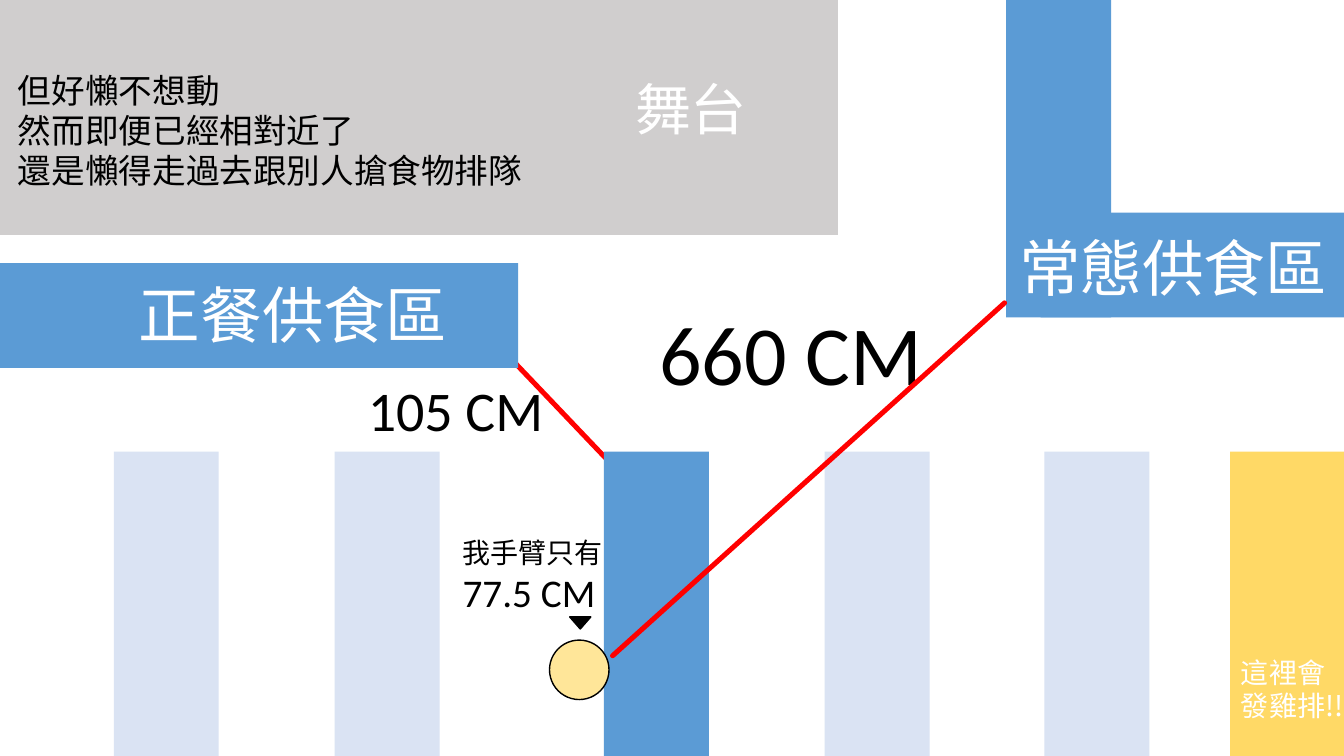
import pptx
import pptx.util
import pptx.dml.color
import pptx.enum.shapes
import pptx.enum.text
import pptx.oxml.ns
import lxml.etree

Inches = pptx.util.Inches
Kind = pptx.enum.shapes.MSO_SHAPE

HUES = {
    "red": "FF0000", "stage": "D0CECE", "blue": "5B9BD5", "pale": "DAE3F3",
    "gold": "FFD966", "skin": "FFE699", "black": "000000", "white": "FFFFFF",
}
HAN = "Noto Sans CJK SC"
LATIN = "Calibri"
WIDE, LONG = 1.04, 3.02   # width and length of every table
ROW = 4.48                # top of the lower row of tables


class Plan:
    def __init__(self, slide):
        self.slide = slide

    def hue(self, name):
        return pptx.dml.color.RGBColor.from_string(HUES[name])

    def shape(self, kind, left, top, width, height, fill, line=None, turn=0):
        item = self.slide.shapes.add_shape(
            kind, Inches(left), Inches(top), Inches(width), Inches(height))
        item.shadow.inherit = False
        item.rotation = turn
        item.fill.solid()
        item.fill.fore_color.rgb = self.hue(fill)
        if line:
            item.line.color.rgb = self.hue(line)
            item.line.width = pptx.util.Pt(1)
        else:
            item.line.fill.background()
        return item

    def block(self, left, top, width, height, fill):
        self.shape(Kind.RECTANGLE, left, top, width, height, fill)

    def ray(self, left, top, length, turn):
        """Draw a thin red bar with round ends, turned about its centre."""
        bar = self.shape(Kind.ROUNDED_RECTANGLE, left, top, length, 0.05, "red", turn=turn)
        bar.adjustments[0] = 0.5

    def text(self, left, top, width, height, lines, hue, font=HAN, wrap=False):
        """Write lines given as pairs of words and point size."""
        box = self.slide.shapes.add_textbox(
            Inches(left), Inches(top), Inches(width), Inches(height))
        frame = box.text_frame
        frame.word_wrap = wrap
        frame.auto_size = pptx.enum.text.MSO_AUTO_SIZE.SHAPE_TO_FIT_TEXT
        for i, (words, size) in enumerate(lines):
            para = frame.add_paragraph() if i else frame.paragraphs[0]
            run = para.add_run()
            run.text = words
            para.font.size = pptx.util.Pt(size)
            para.font.name = font
            para.font.color.rgb = self.hue(hue)
            east = lxml.etree.SubElement(
                run.font._element, pptx.oxml.ns.qn("a:ea"))
            east.set("typeface", HAN)


def main():
    deck = pptx.Presentation()
    deck.slide_width, deck.slide_height = Inches(13.33), Inches(7.5)
    plan = Plan(deck.slides.add_slide(deck.slide_layouts[6]))

    plan.ray(4.84, 4.04, 1.42, 46.4)
    plan.block(-0.46, -0.19, 8.77, 2.52, "stage")
    plan.text(0.08, 0.64, 5.25, 1.31, [
        ("但好懶不想動", 24),
        ("然而即便已經相對近了", 24),
        ("還是懶得走過去跟別人搶食物排隊", 24),
    ], "black")

    plan.block(5.99, ROW, WIDE, LONG, "blue")
    plan.block(9.98, -0.1, WIDE, 3.25, "blue")
    for left, top in ((10.32, 2.11), (2.12, 2.61), (-0.32, 2.61)):
        plan.block(left, top, LONG, WIDE, "blue")
    for left in (8.18, 10.36, 1.13, 3.32):
        plan.block(left, ROW, WIDE, LONG, "pale")

    plan.text(3.55, 3.68, 1.96, 0.77, [("105 CM", 40)], "black", LATIN)
    plan.text(6.44, 2.94, 2.84, 1.11, [("660 CM", 60)], "black", LATIN)
    plan.text(4.49, 5.26, 1.6, 0.91, [("我手臂只有", 20), ("77.5 CM", 28)], "black", LATIN)
    plan.text(6.2, 0.69, 1.32, 0.77, [("舞台", 40)], "white")
    plan.text(10.01, 2.23, 3.29, 0.84, [("常態供食區", 44)], "white")
    plan.text(1.28, 2.7, 3.29, 0.84, [("正餐供食區", 44)], "white")

    plan.block(12.2, ROW, 1.13, LONG, "gold")
    plan.text(12.21, 6.45, 1.22, 0.77, [("這裡會", 20), ("發雞排!!", 20)], "white", wrap=True)

    plan.shape(Kind.OVAL, 5.45, 6.35, 0.59, 0.59, "skin", "black")
    plan.shape(Kind.ISOSCELES_TRIANGLE, 5.65, 6.12, 0.21, 0.12, "black", "black", 180)
    plan.ray(5.38, 4.73, 5.28, 318)

    deck.save("out.pptx")


if __name__ == "__main__":
    main()
